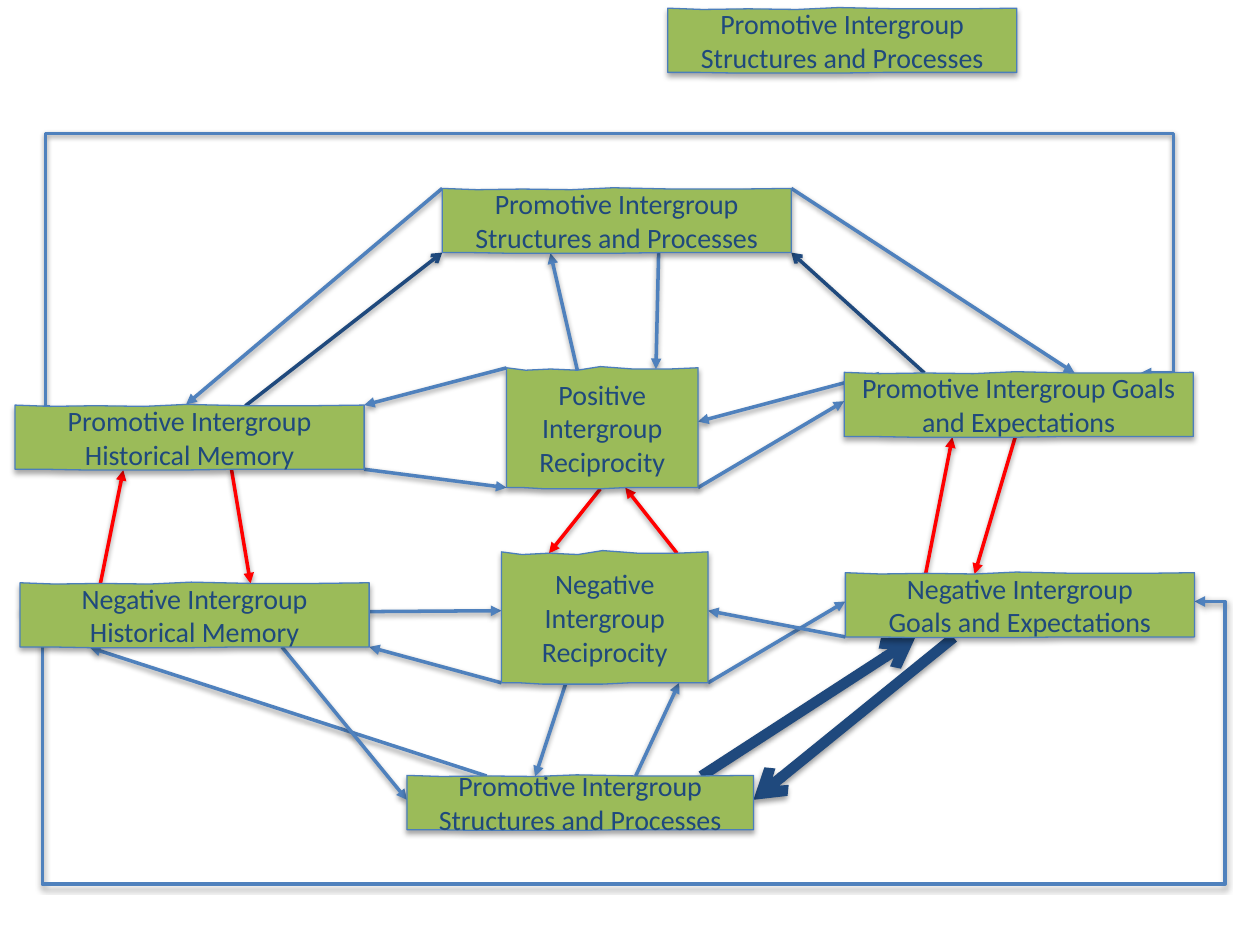
from lxml.etree import SubElement
from pptx import Presentation
from pptx.dml.color import RGBColor
from pptx.enum.shapes import MSO_CONNECTOR
from pptx.enum.text import MSO_ANCHOR, PP_ALIGN
from pptx.oxml.ns import qn
from pptx.util import Inches, Pt

NAVY = RGBColor(0x1F, 0x49, 0x7D)
BLUE = RGBColor(0x4F, 0x81, 0xBD)
RED = RGBColor(0xFF, 0x00, 0x00)
GREEN = RGBColor(0x9B, 0xBB, 0x59)
EDGE = RGBColor(0x4B, 0x7E, 0xBC)

FONT = {"name": "Calibri", "size": Pt(16)}
FRAME = {"word_wrap": True, "vertical_anchor": MSO_ANCHOR.MIDDLE}

# Hand-drawn outline as fractions of a box, clockwise from top left.
# Arrows attach to these points by index.
OUTLINE = [
    (0, .01), (.1, .03), (.23, .02), (.37, .03), (.49, 0), (.66, .02),
    (.78, .02), (.85, .02), (1, .01), (1, .45), (1, .99), (.86, .99),
    (.75, .99), (.62, .99), (.49, 1), (.31, 1), (.2, 1), (.09, .99),
    (0, .99), (0, .45),
]

STRUCTURES = "Promotive Intergroup Structures and Processes"
W, H = 2.77, 0.52
# name: (left, top, width, height), text
BOXES = {
    "spare": ((5.3, 0.06, W, H), STRUCTURES),
    "neg_recip": ((3.98, 4.37, 1.64, 1.06), "Negative Intergroup Reciprocity"),
    "pos_recip": ((4.02, 2.91, 1.52, 0.97), "Positive Intergroup Reciprocity"),
    "neg_memory": ((0.16, 4.62, W, H), "Negative Intergroup Historical Memory"),
    "pos_memory": ((0.12, 3.21, W, H), "Promotive Intergroup Historical Memory"),
    "neg_goals": ((6.71, 4.54, W, H), "Negative Intergroup\nGoals and Expectations"),
    "low_struct": ((3.23, 6.15, 2.75, 0.44), STRUCTURES),
    "pos_goals": ((6.7, 2.95, W, H), "Promotive Intergroup Goals and Expectations"),
    "top_struct": ((3.51, 1.49, W, H), STRUCTURES),
}

# (from box, point), (to box, point), grouped by colour, width and head
ARROWS = [
    (NAVY, 2, "arrow", [
        (("pos_goals", 2), ("top_struct", 10)),
        (("pos_memory", 5), ("top_struct", 18)),
    ]),
    (NAVY, 6, "arrow", [
        (("low_struct", 7), ("neg_goals", 16)),
        (("neg_goals", 15), ("low_struct", 9)),
    ]),
    (BLUE, 2, "triangle", [
        (("low_struct", 2), ("neg_memory", 16)),
        (("neg_memory", 12), ("low_struct", 19)),
        (("neg_recip", 18), ("neg_memory", 10)),
        (("neg_memory", 9), ("neg_recip", 19)),
        (("pos_recip", 10), ("pos_goals", 19)),
        (("pos_goals", 1), ("pos_recip", 9)),
        (("pos_recip", 0), ("pos_memory", 8)),
        (("pos_memory", 10), ("pos_recip", 18)),
        (("neg_recip", 10), ("neg_goals", 19)),
        (("neg_goals", 18), ("neg_recip", 9)),
        (("neg_recip", 15), ("low_struct", 3)),
        (("low_struct", 5), ("neg_recip", 11)),
        (("top_struct", 0), ("pos_memory", 4)),
        (("top_struct", 8), ("pos_goals", 5)),
        (("top_struct", 13), ("pos_recip", 6)),
        (("pos_recip", 3), ("top_struct", 15)),
    ]),
    (RED, 2, "triangle", [
        (("pos_recip", 14), ("neg_recip", 2)),
        (("neg_recip", 7), ("pos_recip", 13)),
        (("pos_goals", 14), ("neg_goals", 3)),
        (("neg_goals", 2), ("pos_goals", 15)),
        (("pos_memory", 13), ("neg_memory", 5)),
        (("neg_memory", 2), ("pos_memory", 15)),
    ]),
]

# from, to, (left x, far y, right x) of the route around the diagram
LOOPS = [
    (("neg_memory", 19), ("neg_goals", 9), (0.34, 7.02, 9.72)),
    (("pos_memory", 1), ("pos_goals", 7), (0.36, 1.06, 9.31)),
]


def outline_points(box):
    """Return the outline points of a box in inches."""
    x, y, w, h = box
    return [(x + fx * w, y + fy * h) for fx, fy in OUTLINE]


def site(ref):
    """Return the point that a (box name, index) pair refers to."""
    name, index = ref
    return outline_points(BOXES[name][0])[index]


def add_shadow(sp, dist, alpha):
    """Give a shape or connector a soft shadow straight below it."""
    sp_pr = sp._element.spPr
    for old in sp_pr.findall(qn("a:effectLst")):
        sp_pr.remove(old)
    effects = SubElement(sp_pr, qn("a:effectLst"))
    shadow = SubElement(effects, qn("a:outerShdw"), blurRad="40000",
                        dist=str(dist), dir="5400000", rotWithShape="0")
    colour = SubElement(shadow, qn("a:srgbClr"), val="000000")
    SubElement(colour, qn("a:alpha"), val=str(alpha * 1000))


def add_arrow(s, start, end, colour, width, head, kind=MSO_CONNECTOR.STRAIGHT):
    """Draw an arrow between two points."""
    sp = s.shapes.add_connector(kind, *[Inches(v) for v in (*start, *end)])
    sp.line.color.rgb = colour
    sp.line.width = Pt(width)
    SubElement(sp.line._get_or_add_ln(), qn("a:tailEnd"), type=head)
    add_shadow(sp, 20000, 38)
    return sp


def add_loop(s, start, end, route):
    """Draw a five-part elbow arrow that runs around the diagram."""
    sp = add_arrow(s, start, end, BLUE, 2, "triangle", MSO_CONNECTOR.ELBOW)
    geom = sp._element.spPr.find(qn("a:prstGeom"))
    geom.set("prst", "bentConnector5")
    guides = geom.find(qn("a:avLst"))
    if guides is None:
        guides = SubElement(geom, qn("a:avLst"))
    for i, (stop, axis) in enumerate(zip(route, (0, 1, 0)), 1):
        share = (stop - start[axis]) / (end[axis] - start[axis])
        SubElement(guides, qn("a:gd"), name=f"adj{i}",
                   fmla=f"val {round(share * 100000)}")


def add_box(s, box, text):
    """Draw a hand-drawn box with centred text."""
    points = [(Inches(x), Inches(y)) for x, y in outline_points(box)]
    builder = s.shapes.build_freeform(*points[0])
    builder.add_line_segments(points[1:], close=True)
    sp = builder.convert_to_shape()
    sp.fill.solid()
    sp.fill.fore_color.rgb = GREEN
    sp.line.color.rgb = EDGE
    sp.line.width = Pt(0.75)
    add_shadow(sp, 23000, 35)
    tf = sp.text_frame
    for key, value in FRAME.items():
        setattr(tf, key, value)
    tf.text = text
    for p in tf.paragraphs:
        p.alignment = PP_ALIGN.CENTER
        for r in p.runs:
            r.font.color.rgb = NAVY
            for key, value in FONT.items():
                setattr(r.font, key, value)


def add_diagram(s):
    """Draw the arrows, then the boxes over them."""
    for colour, width, head, links in ARROWS:
        for start, end in links:
            add_arrow(s, site(start), site(end), colour, width, head)
    for start, end, route in LOOPS:
        add_loop(s, site(start), site(end), route)
    for box, text in BOXES.values():
        add_box(s, box, text)


prs = Presentation()
prs.slide_width, prs.slide_height = Inches(10), Inches(7.5)
add_diagram(prs.slides.add_slide(prs.slide_layouts[6]))
prs.save("out.pptx")
